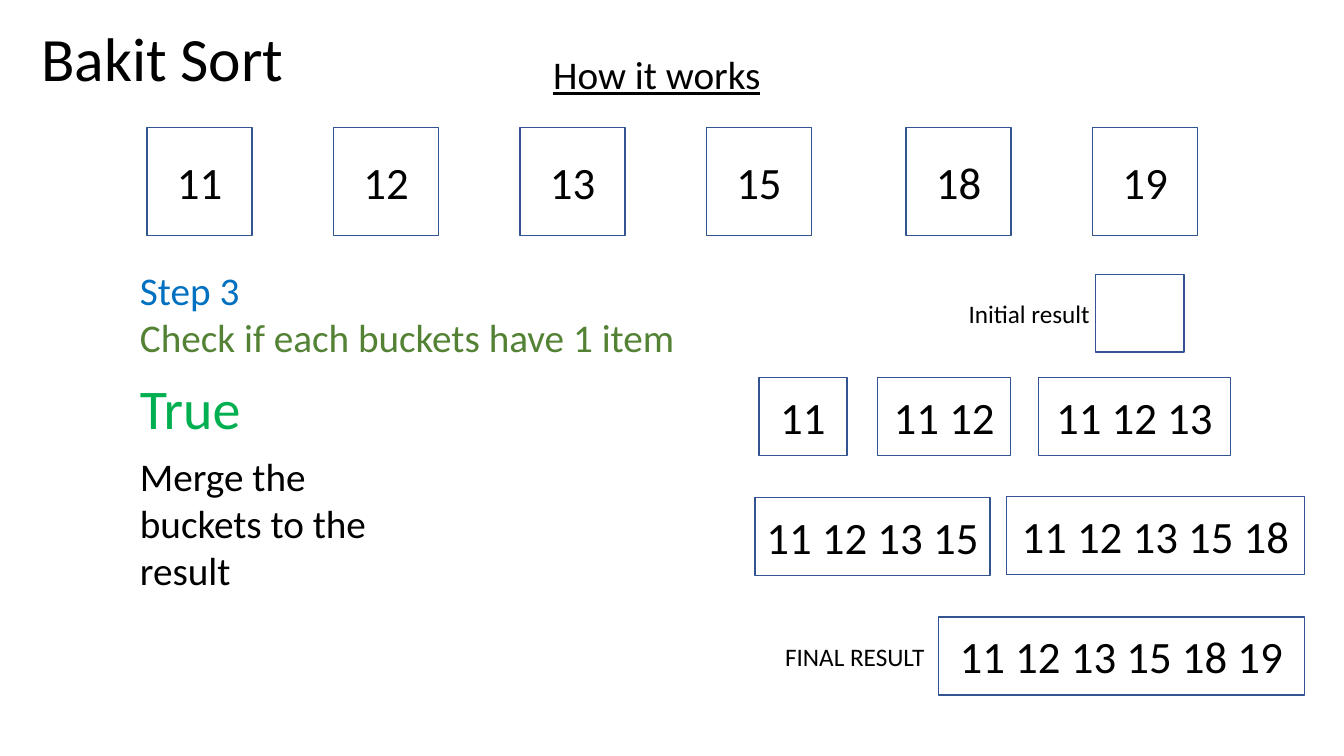
from lxml.etree import SubElement
from pptx import Presentation
from pptx.dml.color import RGBColor
from pptx.enum.shapes import MSO_SHAPE
from pptx.enum.text import MSO_ANCHOR, MSO_AUTO_SIZE, PP_ALIGN
from pptx.oxml.ns import qn
from pptx.util import Pt

BLACK = RGBColor(0x00, 0x00, 0x00)
BORDER = RGBColor(0x32, 0x54, 0x91)
STEP_BLUE = RGBColor(0x00, 0x70, 0xC0)
CHECK_GREEN = RGBColor(0x54, 0x82, 0x35)
TRUE_GREEN = RGBColor(0x00, 0xB0, 0x50)

ITEMS = ["11", "12", "13", "15", "18", "19"]
BUCKET_LEFT, BUCKET_TOP, BUCKET_STEP = 105.1, 90.9, 133.2
BUCKET_WIDTH, BUCKET_HEIGHT = 75, 77.2
RIGHT_GROUP_SHIFT = 9.4
RESULT_HEIGHT = 55.6
# Left, top and width of the result after merging 0, 1, 2, ... buckets
RESULTS = [
    (782.7, 195.9, 63),
    (542, 269.8, 63),
    (627, 269.8, 95),
    (741.6, 269.8, 137.4),
    (539.4, 355.5, 167.8),
    (719, 354.6, 212.7),
    (670.3, 440.8, 261.5),
]


class SlideBuilder:
    """Holds the style and the slide being drawn."""

    font_name = "Calibri"
    box_size = 32

    def __init__(self, slide):
        """Keep the slide that receives the elements."""
        self.slide = slide

    def style(self, paragraph, size, color):
        """Set the font of a paragraph."""
        font = paragraph.font
        font.name, font.size = self.font_name, Pt(size)
        font.color.rgb = color

    def text(self, left, top, width, height, size, lines, underline=None):
        """Add a text box from (wording, colour) lines."""
        shape = self.slide.shapes.add_textbox(Pt(left), Pt(top), Pt(width), Pt(height))
        frame = shape.text_frame
        frame.word_wrap = True
        frame.auto_size = MSO_AUTO_SIZE.SHAPE_TO_FIT_TEXT
        frame.text = "\n".join(wording for wording, _ in lines)
        for paragraph, (_, color) in zip(frame.paragraphs, lines):
            self.style(paragraph, size, color)
            paragraph.font.underline = underline

    def box(self, left, top, width, height, wording):
        """Add an outlined box with centred numbers."""
        shape = self.slide.shapes.add_shape(
            MSO_SHAPE.RECTANGLE, Pt(left), Pt(top), Pt(width), Pt(height))
        shape.shadow.inherit = False
        shape.fill.background()
        shape.line.color.rgb = BORDER
        shape.line.width = Pt(1)
        if not wording:
            return
        frame = shape.text_frame
        frame.word_wrap = True
        frame.vertical_anchor = MSO_ANCHOR.MIDDLE
        frame.text = wording
        paragraph = frame.paragraphs[0]
        paragraph.alignment = PP_ALIGN.CENTER
        self.style(paragraph, self.box_size, BLACK)
        # Hairline text outline
        for run in paragraph.runs:
            SubElement(run._r.get_or_add_rPr(), qn("a:ln"), w="0")


def main():
    """Build the bucket sort slide."""
    presentation = Presentation()
    presentation.slide_width, presentation.slide_height = Pt(960), Pt(540)
    builder = SlideBuilder(presentation.slides.add_slide(presentation.slide_layouts[6]))

    builder.text(22.3, 10.8, 217.4, 60.5, 44, [("Bakit Sort", BLACK)])
    builder.text(388.1, 32.4, 183.6, 41, 28, [("How it works", BLACK)], underline=True)

    for index, item in enumerate(ITEMS):
        shift = RIGHT_GROUP_SHIFT if index > 3 else 0
        builder.box(BUCKET_LEFT + index * BUCKET_STEP + shift, BUCKET_TOP,
                    BUCKET_WIDTH, BUCKET_HEIGHT, item)

    builder.text(92.9, 186.5, 411.1, 74.9, 28,
                 [("Step 3", STEP_BLUE), ("Check if each buckets have 1 item", CHECK_GREEN)])
    builder.text(92.9, 263.5, 108.7, 55.4, 40, [("True", TRUE_GREEN)])
    builder.text(92.9, 319.7, 204.5, 108.7, 28,
                 [("Merge the buckets to the result", BLACK)])

    for count, (left, top, width) in enumerate(RESULTS):
        builder.box(left, top, width, RESULT_HEIGHT, " ".join(ITEMS[:count]))
    builder.text(684.7, 209.5, 116.6, 28.8, 18, [("Initial result", BLACK)])
    builder.text(553.7, 454.3, 116.6, 28.8, 18, [("FINAL RESULT", BLACK)])

    presentation.save("out.pptx")


main()
